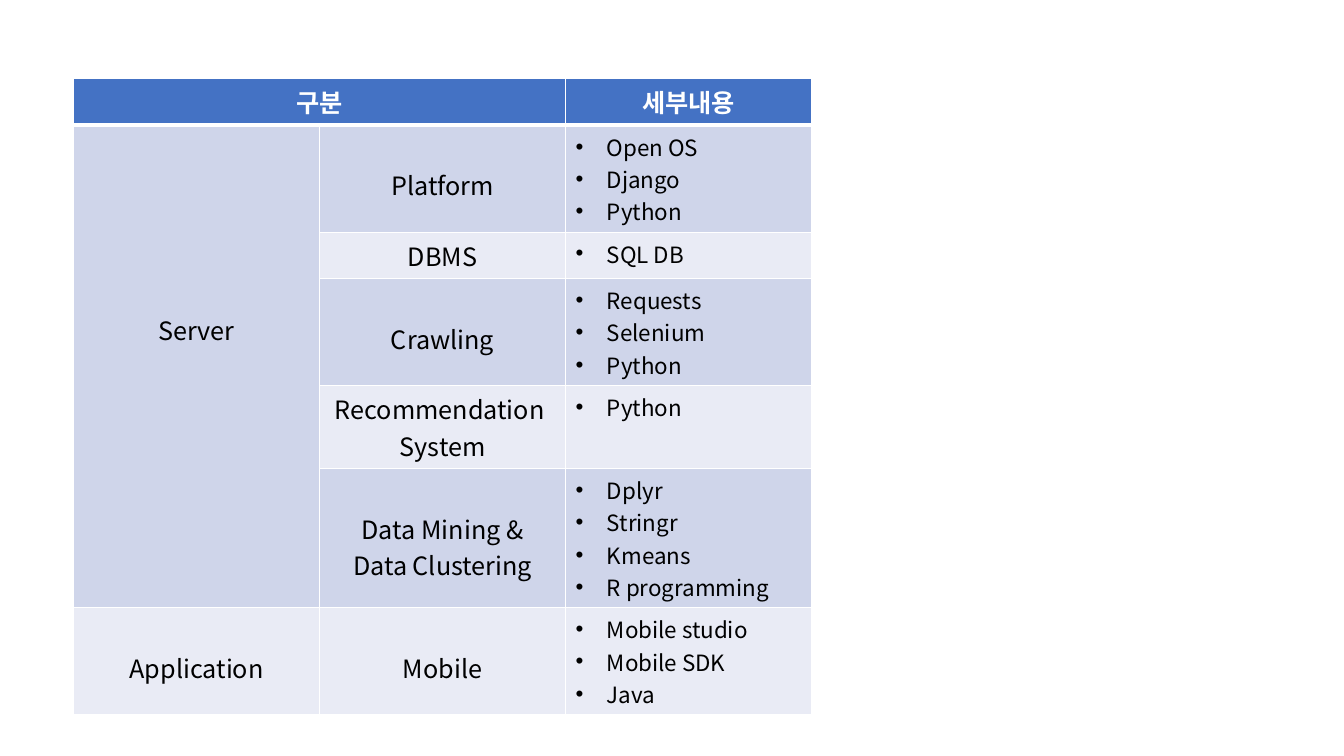
import lxml.etree
import pptx
import pptx.dml.color
import pptx.enum.text
import pptx.oxml.ns
import pptx.util

RGB = pptx.dml.color.RGBColor
ALIGN = pptx.enum.text.PP_ALIGN
WHITE = RGB(0xFF, 0xFF, 0xFF)
BLACK = RGB(0, 0, 0)
HEADER = RGB(0x44, 0x72, 0xC4)
BANDS = RGB(0xCF, 0xD5, 0xEA), RGB(0xE9, 0xEB, 0xF5)
FONT = "Noto Sans CJK KR"
PAD, LABEL_LINE, ITEM_LINE = 0.05, 0.36, 0.32
COL_W = 2.44
INDENT = pptx.util.Inches(0.31)

# Each row: label, lines of space above the label, bulleted details.
ROWS = [
    ("Platform", 1, ["Open OS", "Django", "Python"]),
    ("DBMS", 0, ["SQL DB"]),
    ("Crawling", 1, ["Requests", "Selenium", "Python"]),
    ("Recommendation \nSystem", 0, ["Python"]),
    ("Data Mining &\nData Clustering", 1,
     ["Dplyr", "Stringr", "Kmeans", "R programming"]),
    ("Mobile", 1, ["Mobile studio", "Mobile SDK", "Java"]),
]


def row_height(label, lead, items):
    """Return the height in inches that the fuller of two cells needs."""
    lines = lead + len(label.split("\n"))
    return 2 * PAD + max(lines * LABEL_LINE, len(items) * ITEM_LINE)


def add_xml(parent, tag, **attrs):
    """Append a DrawingML element and return it."""
    return lxml.etree.SubElement(parent, pptx.oxml.ns.qn(tag), **attrs)


def style_cell(cell, fill, row):
    """Give a cell white borders and a solid fill."""
    tcPr = cell._tc.get_or_add_tcPr()
    thick = {(0, "B"), (1, "T")}
    for side in "LRTB":
        pts = 3 if (row, side) in thick else 1
        ln = add_xml(tcPr, "a:ln" + side, w=str(pptx.util.Pt(pts)))
        add_xml(add_xml(ln, "a:solidFill"), "a:srgbClr", val=str(WHITE))
    cell.fill.solid()
    cell.fill.fore_color.rgb = fill


def write(cell, text, size=18, color=BLACK, bold=False, lead=0, bullets=False):
    """Write centred or bulleted paragraphs, lowered by lead lines."""
    cell.margin_top = pptx.util.Inches(PAD + lead * LABEL_LINE)
    cell.text_frame.text = text
    for p in cell.text_frame.paragraphs:
        if bullets:
            pPr = p._p.get_or_add_pPr()
            pPr.set("marL", str(INDENT))
            pPr.set("indent", str(-INDENT))
            add_xml(pPr, "a:buFont", typeface="Arial")
            add_xml(pPr, "a:buChar", char="•")
        else:
            p.alignment = ALIGN.CENTER
        for r in p.runs:
            r.font.name, r.font.size = FONT, pptx.util.Pt(size)
            r.font.bold, r.font.color.rgb = bold, color
            add_xml(r._r.get_or_add_rPr(), "a:ea", typeface=FONT)


def add_grid(s, heights):
    """Add the filled and bordered table with its merged cells."""
    box = [pptx.util.Inches(n) for n in (0.73, 0.78, 3 * COL_W, sum(heights))]
    table = s.shapes.add_table(len(heights), 3, *box).table
    for col in table.columns:
        col.width = pptx.util.Inches(COL_W)
    for i, height in enumerate(heights):
        table.rows[i].height = pptx.util.Inches(height)
        for j in range(3):
            band = 0 if j == 0 and 0 < i < 6 else (i - 1) % 2
            style_cell(table.cell(i, j), BANDS[band] if i else HEADER, i)
    table.cell(0, 0).merge(table.cell(0, 1))
    table.cell(1, 0).merge(table.cell(5, 0))
    return table


def main():
    """Build the technology table slide."""
    prs = pptx.Presentation()
    prs.slide_width = pptx.util.Inches(13.33)
    prs.slide_height = pptx.util.Inches(7.5)
    s = prs.slides.add_slide(prs.slide_layouts[6])
    table = add_grid(s, [0.46] + [row_height(*row) for row in ROWS])
    for j, text in ((0, "구분"), (2, "세부내용")):
        write(table.cell(0, j), text, color=WHITE, bold=True)
    write(table.cell(1, 0), "Server", lead=5)
    write(table.cell(6, 0), "Application", lead=1)
    for i, (label, lead, items) in enumerate(ROWS, 1):
        write(table.cell(i, 1), label, lead=lead)
        write(table.cell(i, 2), "\n".join(items), size=16, bullets=True)
    prs.save("out.pptx")


if __name__ == "__main__":
    main()
